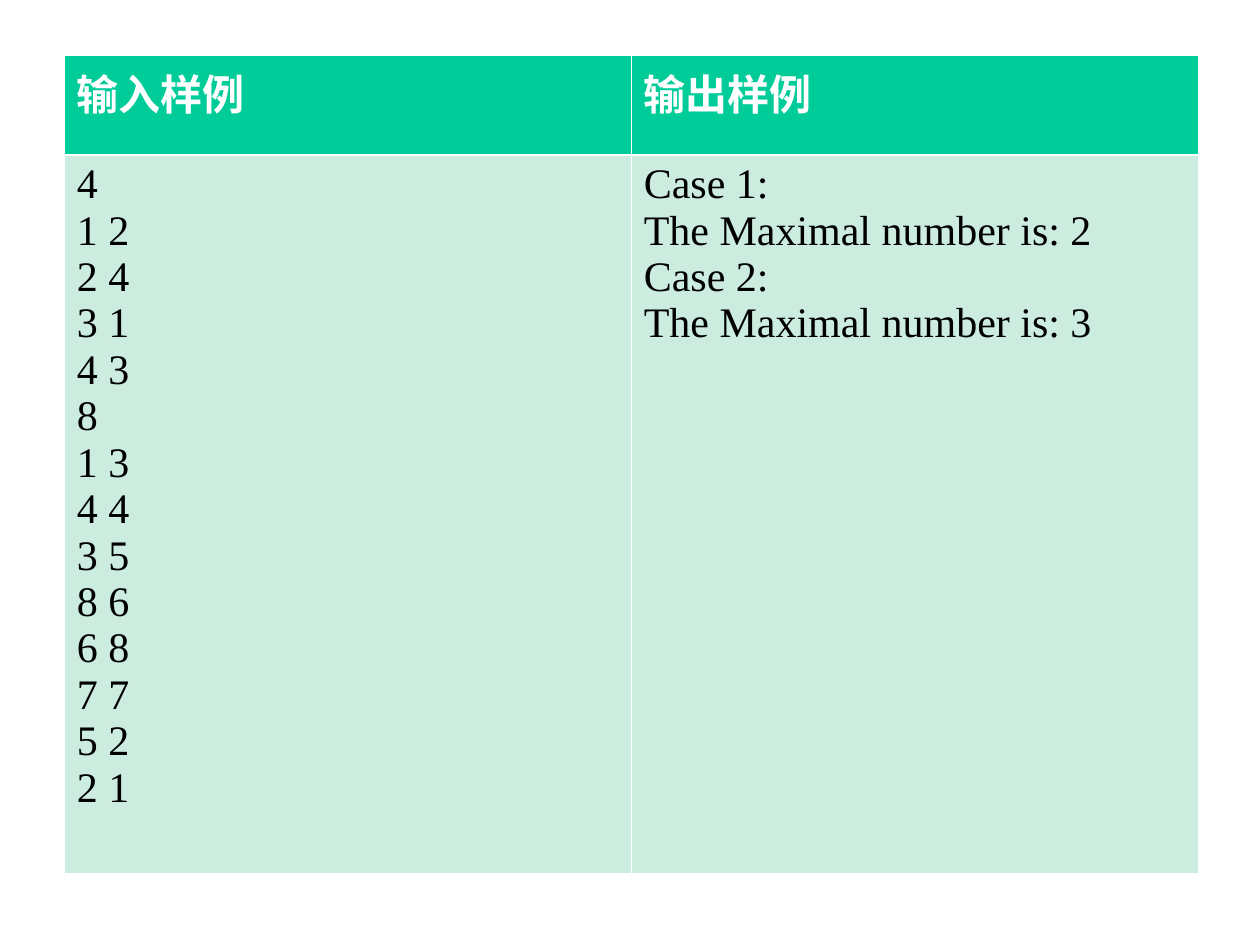
import dataclasses

import lxml.etree
import pptx
import pptx.dml.color
import pptx.oxml.ns
import pptx.table
import pptx.util

WIDTH, HEIGHT = 10, 7.5
THIN, THICK = 0.45, 1.47


@dataclasses.dataclass
class RowStyle:
    height: float  # share of the slide height
    fill: str
    color: str
    bold: bool
    top: float
    bottom: float


HEADER = RowStyle(0.79 / HEIGHT, "00CC99", "FFFFFF", True, THIN, THICK)
BODY = RowStyle(5.7 / HEIGHT, "CBECDE", "000000", False, THICK, THIN)

ROWS = [
    (HEADER, ["输入样例", "输出样例"]),
    (BODY, [
        "4\n1 2\n2 4\n3 1\n4 3\n8\n1 3\n4 4\n3 5\n8 6\n6 8\n7 7\n5 2\n2 1",
        "Case 1:\nThe Maximal number is: 2\nCase 2:\nThe Maximal number is: 3",
    ]),
]


def rgb(color: str) -> pptx.dml.color.RGBColor:
    return pptx.dml.color.RGBColor.from_string(color)


def across(share: float) -> int:
    return pptx.util.Inches(share * WIDTH)


def down(share: float) -> int:
    return pptx.util.Inches(share * HEIGHT)


def add_borders(cell: pptx.table._Cell, style: RowStyle, color: str = "FFFFFF") -> None:
    """Borders go in before the fill, as the schema orders them."""
    qn = pptx.oxml.ns.qn
    tcPr = cell._tc.get_or_add_tcPr()
    widths = {"lnL": THIN, "lnR": THIN, "lnT": style.top, "lnB": style.bottom}
    for side, width in widths.items():
        ln = lxml.etree.SubElement(tcPr, qn(f"a:{side}"), w=str(pptx.util.Pt(width)))
        fill = lxml.etree.SubElement(ln, qn("a:solidFill"))
        lxml.etree.SubElement(fill, qn("a:srgbClr"), val=color)


def fill_cell(cell: pptx.table._Cell, text: str, style: RowStyle) -> None:
    add_borders(cell, style)
    cell.fill.solid()
    cell.fill.fore_color.rgb = rgb(style.fill)
    tf = cell.text_frame
    tf.text = text
    font_format = {"name": "Times New Roman", "size": pptx.util.Pt(24), "bold": style.bold}
    for p in tf.paragraphs:
        for r in p.runs:
            for name, value in font_format.items():
                setattr(r.font, name, value)
            r.font.color.rgb = rgb(style.color)


def add_sample_table(s) -> None:
    height = sum(style.height for style, _ in ROWS)
    table = s.shapes.add_table(
        len(ROWS), 2, across(0.051), down(0.44 / HEIGHT), across(0.9), down(height)
    ).table
    for row, (style, texts) in zip(table.rows, ROWS):
        row.height = down(style.height)
        for cell, text in zip(row.cells, texts):
            fill_cell(cell, text, style)


def main() -> None:
    prs = pptx.Presentation()
    prs.slide_width, prs.slide_height = across(1), down(1)
    s = prs.slides.add_slide(prs.slide_layouts[6])
    add_sample_table(s)
    prs.save("out.pptx")


if __name__ == "__main__":
    main()
